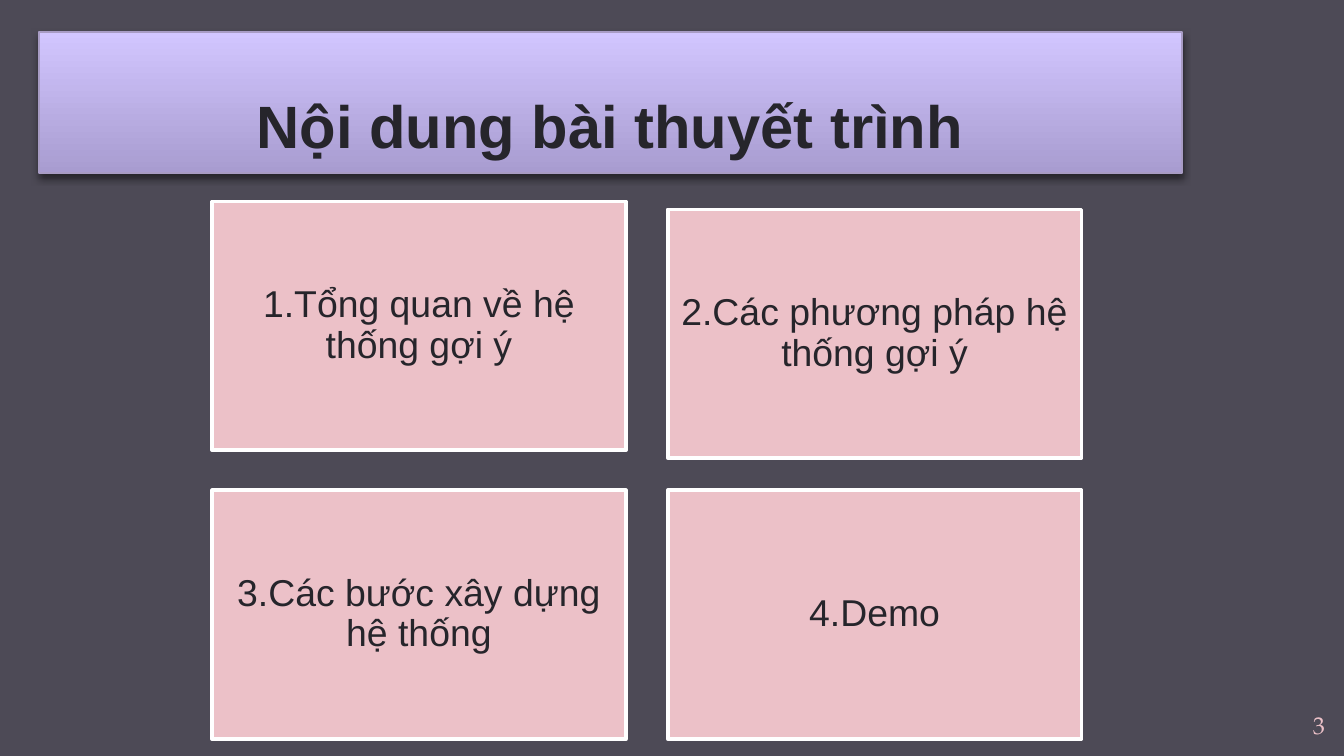
from lxml import etree
from pptx import Presentation
from pptx.dml.color import RGBColor
from pptx.enum.shapes import MSO_SHAPE
from pptx.enum.text import MSO_ANCHOR, PP_ALIGN
from pptx.util import Cm, Pt

# Content
TITLE = "Nội dung bài thuyết trình"
TOPICS = [
    "1.Tổng quan về hệ thống gợi ý",
    "2.Các phương pháp hệ thống gợi ý",
    "3.Các bước xây dựng hệ thống",
    "4.Demo",
]
PAGE_NUMBER = "3"

# Style
BACKGROUND = RGBColor(0x4D, 0x4A, 0x56)
INK = RGBColor(0x26, 0x25, 0x2B)
PINK = RGBColor(0xEC, 0xC1, 0xC8)
WHITE = RGBColor(0xFF, 0xFF, 0xFF)
BANNER_TOP = RGBColor(0xD2, 0xC6, 0xFF)
BANNER_BOTTOM = RGBColor(0xA8, 0x9C, 0xD0)
BANNER_EDGE = RGBColor(0xA8, 0x9C, 0xC4)
BODY_FONT, NUMBER_FONT = "Arial", "TeX Gyre Pagella"
RECTANGLE = MSO_SHAPE.RECTANGLE
CENTER, RIGHT = PP_ALIGN.CENTER, PP_ALIGN.RIGHT
TOP, MIDDLE, BOTTOM = MSO_ANCHOR.TOP, MSO_ANCHOR.MIDDLE, MSO_ANCHOR.BOTTOM

# Topic grid, in centimetres
COLUMNS = 2
GRID_LEFT, GRID_TOP = 4.01, 3.81
CARD_WIDTH, CARD_HEIGHT = 7.82, 4.7
COLUMN_STEP, ROW_STEP = 8.61, 5.46
SECOND_CARD_DROP = 0.15

DRAWING_NS = "http://schemas.openxmlformats.org/drawingml/2006/main"
BANNER_SHADOW = f"""
<a:effectLst xmlns:a="{DRAWING_NS}">
  <a:outerShdw blurRad="50800" dist="25400" dir="5400000" rotWithShape="0">
    <a:srgbClr val="000000"><a:alpha val="50000"/></a:srgbClr>
  </a:outerShdw>
</a:effectLst>"""


def write(shape, text, size, color, font=BODY_FONT, bold=False,
          align=CENTER, anchor=MIDDLE, inset=0.25):
    frame = shape.text_frame
    frame.word_wrap = True
    frame.vertical_anchor = anchor
    frame.margin_left = frame.margin_right = Cm(inset)
    frame.margin_top = frame.margin_bottom = Cm(inset)
    frame.text = text
    paragraph = frame.paragraphs[0]
    paragraph.alignment = align
    run_font = paragraph.runs[0].font
    run_font.name, run_font.size, run_font.bold = font, Pt(size), bold
    run_font.color.rgb = color
    return paragraph


def add_rectangle(slide, left, top, width, height, edge, edge_width):
    shape = slide.shapes.add_shape(
        RECTANGLE, Cm(left), Cm(top), Cm(width), Cm(height))
    shape.shadow.inherit = False
    shape.line.color.rgb = edge
    shape.line.width = Pt(edge_width)
    return shape


presentation = Presentation()
presentation.slide_width, presentation.slide_height = Cm(25.4), Cm(14.29)
slide = presentation.slides.add_slide(presentation.slide_layouts[6])
slide.background.fill.solid()
slide.background.fill.fore_color.rgb = BACKGROUND

# Title banner
banner = add_rectangle(slide, 0.74, 0.6, 21.6, 2.68, BANNER_EDGE, 1)
banner.fill.gradient()
banner.fill.gradient_angle = 270
for stop, color in zip(banner.fill.gradient_stops, (BANNER_TOP, BANNER_BOTTOM)):
    stop.color.rgb = color
properties = banner.element.spPr
properties.replace(properties.find(f"{{{DRAWING_NS}}}effectLst"),
                   etree.fromstring(BANNER_SHADOW))
write(banner, TITLE, 32, INK, bold=True, anchor=BOTTOM).line_spacing = 2.5

# Page number
number_box = slide.shapes.add_textbox(Cm(23.77), Cm(13.18), Cm(1.52), Cm(1.09))
write(number_box, PAGE_NUMBER, 13, PINK, NUMBER_FONT, align=RIGHT, anchor=TOP)

# Topic cards
for index, topic in enumerate(TOPICS):
    row, column = divmod(index, COLUMNS)
    drop = SECOND_CARD_DROP if index == 1 else 0
    card = add_rectangle(slide, GRID_LEFT + column * COLUMN_STEP,
                         GRID_TOP + row * ROW_STEP + drop,
                         CARD_WIDTH, CARD_HEIGHT, WHITE, 2)
    card.fill.solid()
    card.fill.fore_color.rgb = PINK
    write(card, topic, 20, INK, inset=0.2).line_spacing = 0.9

presentation.save("out.pptx")
